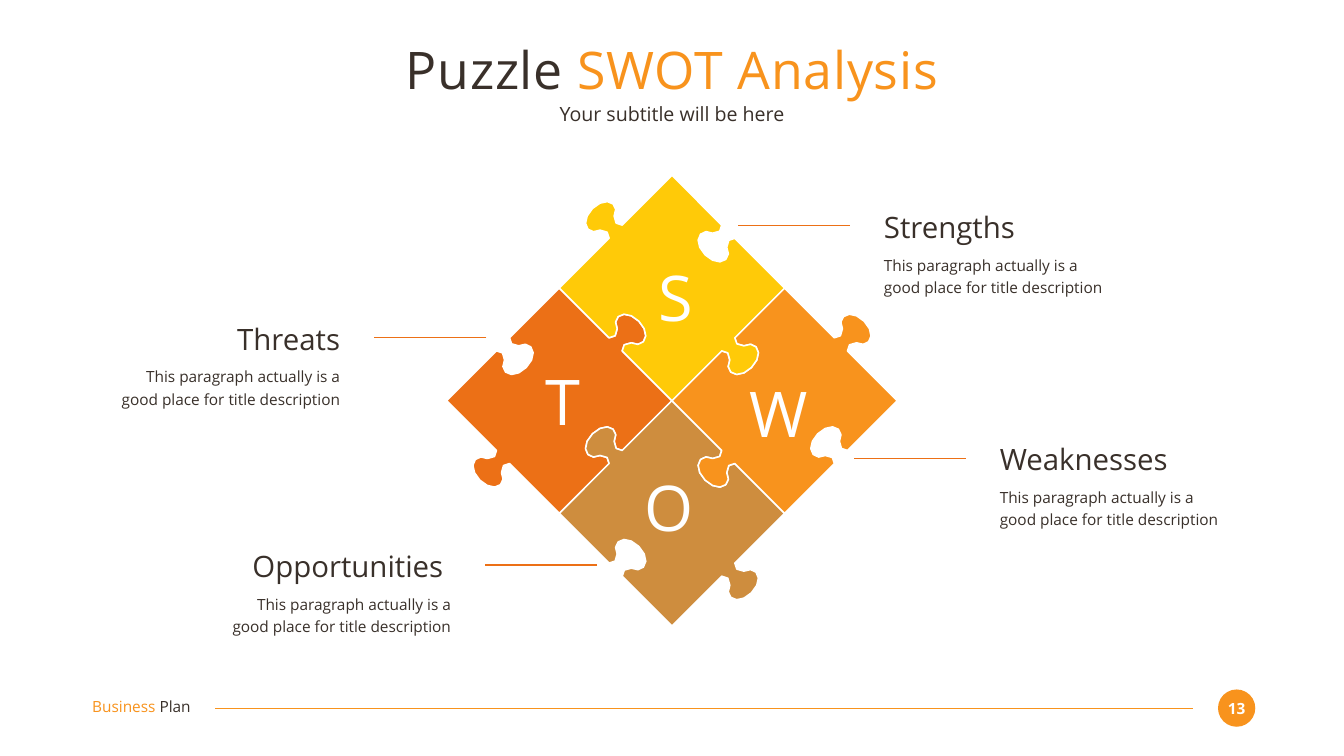
from pptx import Presentation, util as u
from pptx.dml.color import RGBColor
from pptx.enum import shapes, text
from pptx.oxml.ns import qn
from lxml import etree

# Content
TITLE = [("Puzzle ", "dark"), ("SWOT Analysis", "orange")]
SUBTITLE = "Your subtitle will be here"
FOOTER = [("Business ", "orange"), ("Plan", "dark")]
PAGE = "13"
BODY = "This paragraph actually is a good place for title description"

# Letter, colour, grid step from the centre, tabs on the falling sides, letter offset
PIECES = [
    ("T", "rust", (-1, 0), True, (0.07, 0)),
    ("O", "tan", (0, 1), False, (-0.06, -0.13)),
    ("W", "orange", (1, 0), True, (-0.12, 0.24)),
    ("S", "yellow", (0, -1), False, (0.07, 0.18)),
]
# Heading, left, top, side of the puzzle it stands on
LABELS = [
    ("Threats", 2.21, 6.37, "left"),
    ("Opportunities ", 4.41, 10.88, "left"),
    ("Strengths", 17.54, 4.15, "right"),
    ("Weaknesses", 19.84, 8.76, "right"),
]

THEME = {
    "font": "Open Sans",
    "color": {"dark": "39302A", "orange": "F8931D", "rust": "EC7016",
              "tan": "CE8D3E", "yellow": "FFCA08", "white": "FFFFFF"},
    "size": {"title": 74, "subtitle": 28, "letter": 90, "heading": 42, "body": 22},
}

# Layout, in inches
W, H = 26.67, 15
MARGIN = 1.83
CENTRE = (W / 2, 7.95)
HALF = 2.235                      # half a piece's diagonal
LABEL_W, LABEL_GAP, RULE_W = 4.54, 0.68, 2.22
FOOT_Y = 14.05

# Half a knob as four Bezier curves: (along the side, away from it)
HALF_KNOB = [(-0.13, 0), (-0.11, 0.01), (-0.09, 0.04), (-0.09, 0.08),
             (-0.09, 0.12), (-0.12, 0.15), (-0.14, 0.17),
             (-0.21, 0.19), (-0.25, 0.24), (-0.25, 0.30),
             (-0.25, 0.39), (-0.14, 0.46), (0, 0.46)]
HALF_STEPS = [1, 1, 2, 3]         # more steps where the curve is wider


def rgb(name):
    return RGBColor.from_string(THEME["color"][name])


def write(sp, runs, size, color="dark", align="LEFT", anchor="TOP", bold=False,
          line=None, spacing=None):
    """Fill a shape with one paragraph; runs is a string or (text, colour) pairs."""
    tf = sp.text_frame
    tf.word_wrap = True
    tf.auto_size = text.MSO_AUTO_SIZE.NONE
    tf.margin_left = tf.margin_right = tf.margin_top = tf.margin_bottom = 0
    tf.vertical_anchor = text.MSO_ANCHOR[anchor]
    p = tf.paragraphs[0]
    p.alignment = text.PP_ALIGN[align]
    if line:
        p.line_spacing = line
    for words, tone in [(runs, color)] if isinstance(runs, str) else runs:
        r = p.add_run()
        r.text = words
        r.font.name, r.font.size, r.font.bold = THEME["font"], u.Pt(THEME["size"][size]), bold
        r.font.color.rgb = rgb(tone)
        if spacing:
            r._r.get_or_add_rPr().set("spc", str(spacing))


def add_text(s, x, y, w, h, runs, size, **fmt):
    write(s.shapes.add_textbox(*map(u.Inches, (x, y, w, h))), runs, size, **fmt)


def add_rule(s, x1, x2, y, color):
    c = s.shapes.add_connector(shapes.MSO_CONNECTOR.STRAIGHT, *map(u.Inches, (x1, y, x2, y)))
    c.line.color.rgb, c.line.width = rgb(color), u.Pt(1.5)
    etree.SubElement(c._element.spPr, qn("a:effectLst"))


def style(sp, fill, line=None):
    sp.shadow.inherit = False
    sp.fill.solid()
    sp.fill.fore_color.rgb = rgb(fill)
    if line:
        sp.line.color.rgb, sp.line.width = rgb(line), u.Pt(2.25)
    else:
        sp.line.fill.background()


def knob():
    """Points along half a knob, then the same mirrored."""
    half = [HALF_KNOB[0]]
    for i, steps in enumerate(HALF_STEPS):
        for n in range(1, steps + 1):
            t = n / steps
            weights = ((1 - t) ** 3, 3 * t * (1 - t) ** 2, 3 * t * t * (1 - t), t ** 3)
            curve = HALF_KNOB[3 * i:3 * i + 4]
            half.append(tuple(sum(k * p[axis] for k, p in zip(weights, curve))
                              for axis in (0, 1)))
    return half + [(-a, b) for a, b in half[-2::-1]]


def piece_outline(cx, cy, falling_tabs):
    """Walk the diamond from its top corner, anticlockwise, a knob on each side."""
    corners = [(0, -1), (-1, 0), (0, 1), (1, 0)]
    points = []
    for i, (x1, y1) in enumerate(corners):
        x2, y2 = corners[(i + 1) % 4]
        way = 1 if (i % 2 == 1) == falling_tabs else -1    # tab out, socket in
        out_x, out_y = x1 + x2, y1 + y2
        mx, my = cx + HALF * out_x / 2, cy + HALF * out_y / 2
        points.append((cx + HALF * x1, cy + HALF * y1))
        points += [(mx + a * (x2 - x1) + b * way * out_x,
                    my + a * (y2 - y1) + b * way * out_y) for a, b in knob()]
    return points


def add_piece(s, cx, cy, falling_tabs, color):
    points = [(u.Inches(x), u.Inches(y)) for x, y in piece_outline(cx, cy, falling_tabs)]
    fb = s.shapes.build_freeform(*points[0], scale=1.0)
    fb.add_line_segments(points[1:], close=True)
    style(fb.convert_to_shape(), color, "white")


def main():
    prs = Presentation()
    prs.slide_width, prs.slide_height = u.Inches(W), u.Inches(H)
    s = prs.slides.add_slide(prs.slide_layouts[5])

    # Footer
    sp = s.shapes.add_shape(shapes.MSO_SHAPE.OVAL,
                            *map(u.Inches, (24.17, FOOT_Y - 0.37, 0.74, 0.74)))
    style(sp, "orange")
    write(sp, PAGE, "body", color="white", align="CENTER", anchor="MIDDLE", bold=True)
    add_rule(s, 23.67, 4.27, FOOT_Y, "orange")
    add_text(s, MARGIN, 13.84, 2.59, 0.37, FOOTER, "body")

    # Title and subtitle
    title = s.shapes.title
    title.left, title.top, title.width, title.height = map(
        u.Inches, (MARGIN, 0.73, W - 2 * MARGIN, 1.27))
    write(title, TITLE, "title", align="CENTER", anchor="MIDDLE", spacing=100)
    add_text(s, MARGIN, 2.03, W - 2 * MARGIN, 0.49, SUBTITLE, "subtitle", align="CENTER")

    # Puzzle, then its letters on top
    centres = [(CENTRE[0] + HALF * dx, CENTRE[1] + HALF * dy) for _, _, (dx, dy), _, _ in PIECES]
    for (cx, cy), (_, color, _, tabs, _) in zip(centres, PIECES):
        add_piece(s, cx, cy, tabs, color)
    for (cx, cy), (letter, _, _, _, (dx, dy)) in zip(centres, PIECES):
        add_text(s, cx + dx - 1.05, cy + dy - 0.76, 2.1, 1.51, letter, "letter",
                 color="white", align="CENTER")

    # Labels with their rules
    for heading, x, y, side in LABELS:
        on_left = side == "left"
        align = "RIGHT" if on_left else "LEFT"
        add_text(s, x, y, LABEL_W, 0.71, heading, "heading", align=align)
        add_text(s, x, y + 0.85, LABEL_W, 0.89, BODY, "body", align=align, line=1.2)
        end = x + LABEL_W + LABEL_GAP if on_left else x - LABEL_GAP - RULE_W
        add_rule(s, end + RULE_W, end, y + 0.33, "rust")

    prs.save("out.pptx")


if __name__ == "__main__":
    main()
